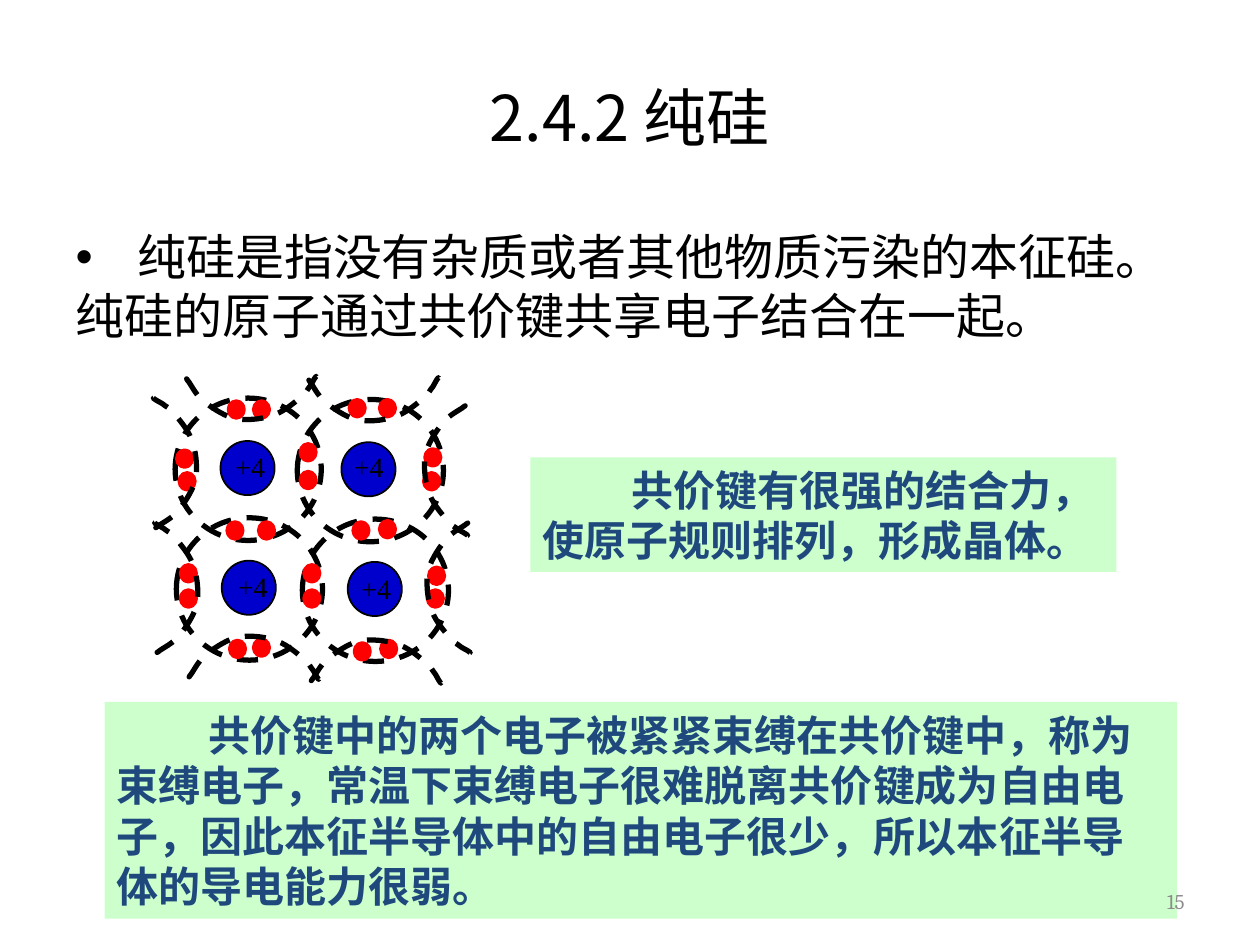
from typing import NamedTuple

from lxml import etree
from pptx import Presentation
from pptx.dml.color import RGBColor
from pptx.enum import dml, shapes, text
from pptx.oxml.ns import qn
from pptx.util import Inches, Pt

BLACK, RED, BLUE = "000000", "FF0000", "0000CC"
GREEN, NAVY, GREY = "CCFFCC", "1F497D", "8C8C8C"


class Atom(NamedTuple):
    core: tuple
    ring: tuple
    label: tuple


class Arc(NamedTuple):
    x: float
    y: float
    side: str


class Note(NamedTuple):
    box: tuple
    indent: float
    words: str


ATOMS = [
    Atom((1.75, 3.5), (1.39, 3.16), (1.77, 3.52)),
    Atom((2.71, 3.51), (2.36, 3.17), (2.71, 3.52)),
    Atom((1.76, 4.45), (1.4, 4.11), (1.79, 4.47)),
    Atom((2.76, 4.46), (2.4, 4.12), (2.77, 4.49)),
]
# Each row holds the two electrons of one bond.
PAIRS = [
    ((1.82, 3.19), (2.02, 3.19)), ((2.78, 3.18), (3.02, 3.18)),
    ((1.41, 3.58), (1.43, 3.76)), ((2.39, 3.53), (2.39, 3.75)),
    ((3.38, 3.57), (3.37, 3.76)), ((1.81, 4.15), (2.06, 4.15)),
    ((2.81, 4.15), (3.02, 4.14)), ((1.44, 4.49), (1.44, 4.69)),
    ((2.42, 4.49), (2.42, 4.69)), ((3.41, 4.51), (3.4, 4.69)),
    ((1.83, 5.09), (2.02, 5.08)), ((2.82, 5.11), (3.03, 5.09)),
]
# Arc centres, with the side of the lattice they lie on.
ARCS = [
    Arc(3.54, 3.73, "right"), Arc(3.56, 4.66, "right"),
    Arc(1.99, 3.16, "top"), Arc(2.96, 3.17, "top"),
    Arc(2.01, 5.22, "bottom"), Arc(2.98, 5.25, "bottom"),
    Arc(1.39, 3.68, "left"), Arc(1.4, 4.67, "left"),
]
# Right-hand arc about its centre: a start, then three points per Bezier curve.
CURVE = [
    (0.14, -0.5),
    (0.14, -0.5), (0.17, -0.52), (0.14, -0.5),
    (0.12, -0.48), (0.03, -0.44), (-0.02, -0.38),
    (-0.07, -0.32), (-0.13, -0.23), (-0.16, -0.14),
    (-0.18, -0.05), (-0.17, 0.08), (-0.14, 0.16),
    (-0.12, 0.25), (-0.04, 0.34), (0, 0.39),
    (0.03, 0.43), (0.05, 0.44), (0.08, 0.46),
    (0.1, 0.48), (0.15, 0.5), (0.16, 0.51),
    (0.18, 0.52), (0.17, 0.52), (0.17, 0.52),
]
TURNS = {
    "right": lambda x, y: (x, y),
    "left": lambda x, y: (-x, -y),
    "top": lambda x, y: (y, -x),
    "bottom": lambda x, y: (y, x),
}
NOTES = [
    Note((4.21, 3.63, 4.65, 0.91), 0.7,
         "共价键有很强的结合力，使原子规则排列，形成晶体。"),
    Note((0.83, 5.57, 8.51, 1.72), 0.73,
         "共价键中的两个电子被紧紧束缚在共价键中，称为束缚电子，"
         "常温下束缚电子很难脱离共价键成为自由电子，"
         "因此本征半导体中的自由电子很少，所以本征半导体的导电能力很弱。"),
]


def color(code: str) -> RGBColor:
    return RGBColor.from_string(code)


def place(shape, box: tuple) -> None:
    shape.left, shape.top, shape.width, shape.height = map(Inches, box)


def style(shape, fill: str = "", line: str = "", width: float = 1,
          dash: bool = False) -> None:
    """Set fill and line; an empty colour means none."""
    shape.shadow.inherit = False
    if fill:
        shape.fill.solid()
        shape.fill.fore_color.rgb = color(fill)
    else:
        shape.fill.background()
    if line:
        shape.line.color.rgb = color(line)
        shape.line.width = Pt(width)
    else:
        shape.line.fill.background()
    if dash:
        shape.line.dash_style = dml.MSO_LINE.DASH


def write(shape, words: str, face: str, size: float, code: str,
          align=text.PP_ALIGN.LEFT, bold: bool = False):
    shape.text_frame.word_wrap = True
    para = shape.text_frame.paragraphs[0]
    para.text = words
    para.alignment = align
    para.space_before = Pt(0)
    font = para.font
    font.name, font.size, font.bold = face, Pt(size), bold
    font.color.rgb = color(code)
    return para


def add_oval(tree, spot: tuple, size: tuple, **look) -> None:
    oval = tree.add_shape(shapes.MSO_SHAPE.OVAL, *map(Inches, spot + size))
    style(oval, **look)


def add_arc(tree, arc: Arc) -> None:
    """Draw the control points as a line, then join each three as a curve."""
    turned = [TURNS[arc.side](x, y) for x, y in CURVE]
    points = [(Inches(arc.x + x), Inches(arc.y + y)) for x, y in turned]
    pen = tree.build_freeform(*points[0])
    pen.add_line_segments(points[1:], close=False)
    shape = pen.convert_to_shape()
    style(shape, line=BLACK, width=3, dash=True)
    lines = list(shape.element.iter(qn("a:lnTo")))
    for i in range(0, len(lines), 3):
        curve = etree.Element(qn("a:cubicBezTo"))
        lines[i].addprevious(curve)
        for line in lines[i:i + 3]:
            curve.append(line[0])
            line.getparent().remove(line)


def add_note(tree, note: Note) -> None:
    box = tree.add_shape(shapes.MSO_SHAPE.RECTANGLE, *map(Inches, note.box))
    style(box, fill=GREEN)
    box.text_frame.vertical_anchor = text.MSO_ANCHOR.MIDDLE
    para = write(box, note.words, "Times New Roman", 24, NAVY, bold=True)
    para._p.get_or_add_pPr().set("indent", str(Inches(note.indent)))


def add_body(body) -> None:
    place(body, (0.5, 1.75, 9, 4.95))
    props = body.text_frame.paragraphs[0]._p.get_or_add_pPr()
    props.set("marL", "0")
    props.set("indent", "0")
    etree.SubElement(props, qn("a:buChar"), char="•")
    tabs = etree.SubElement(props, qn("a:tabLst"))
    etree.SubElement(tabs, qn("a:tab"), pos=str(Inches(0.49)), algn="l")
    write(body, "\t纯硅是指没有杂质或者其他物质污染的本征硅。"
          "纯硅的原子通过共价键共享电子结合在一起。", "Cambria", 28, BLACK)


def add_crystal(tree) -> None:
    for atom in ATOMS:
        add_oval(tree, atom.core, (0.43, 0.43), fill=BLUE, line=BLACK)
        add_oval(tree, atom.ring, (1.16, 1.13), line=BLACK, width=3, dash=True)
    for pair in PAIRS:
        for spot in pair:
            add_oval(tree, spot, (0.11, 0.12), fill=RED, line=RED, width=3)
    for arc in ARCS:
        add_arc(tree, arc)
    for atom in ATOMS:
        label = tree.add_textbox(*map(Inches, atom.label + (0.49, 0.37)))
        write(label, "+4", "Times New Roman", 16, BLACK)


def main() -> None:
    deck = Presentation()
    deck.slide_width, deck.slide_height = Inches(10), Inches(7.5)
    slide = deck.slides.add_slide(deck.slide_layouts[1])
    tree = slide.shapes

    place(tree.title, (0.5, 0.3, 9, 1.25))
    write(tree.title, "2.4.2 纯硅", "Noto Sans CJK SC", 36, BLACK,
          text.PP_ALIGN.CENTER)
    add_body(slide.placeholders[1])
    add_crystal(tree.add_group_shape().shapes)
    for note in NOTES:
        add_note(tree, note)

    page = tree.add_textbox(*map(Inches, (7.17, 6.95, 2.33, 0.4)))
    page.text_frame.vertical_anchor = text.MSO_ANCHOR.MIDDLE
    write(page, "15", "Cambria", 12, GREY, text.PP_ALIGN.RIGHT)
    deck.save("out.pptx")


if __name__ == "__main__":
    main()
